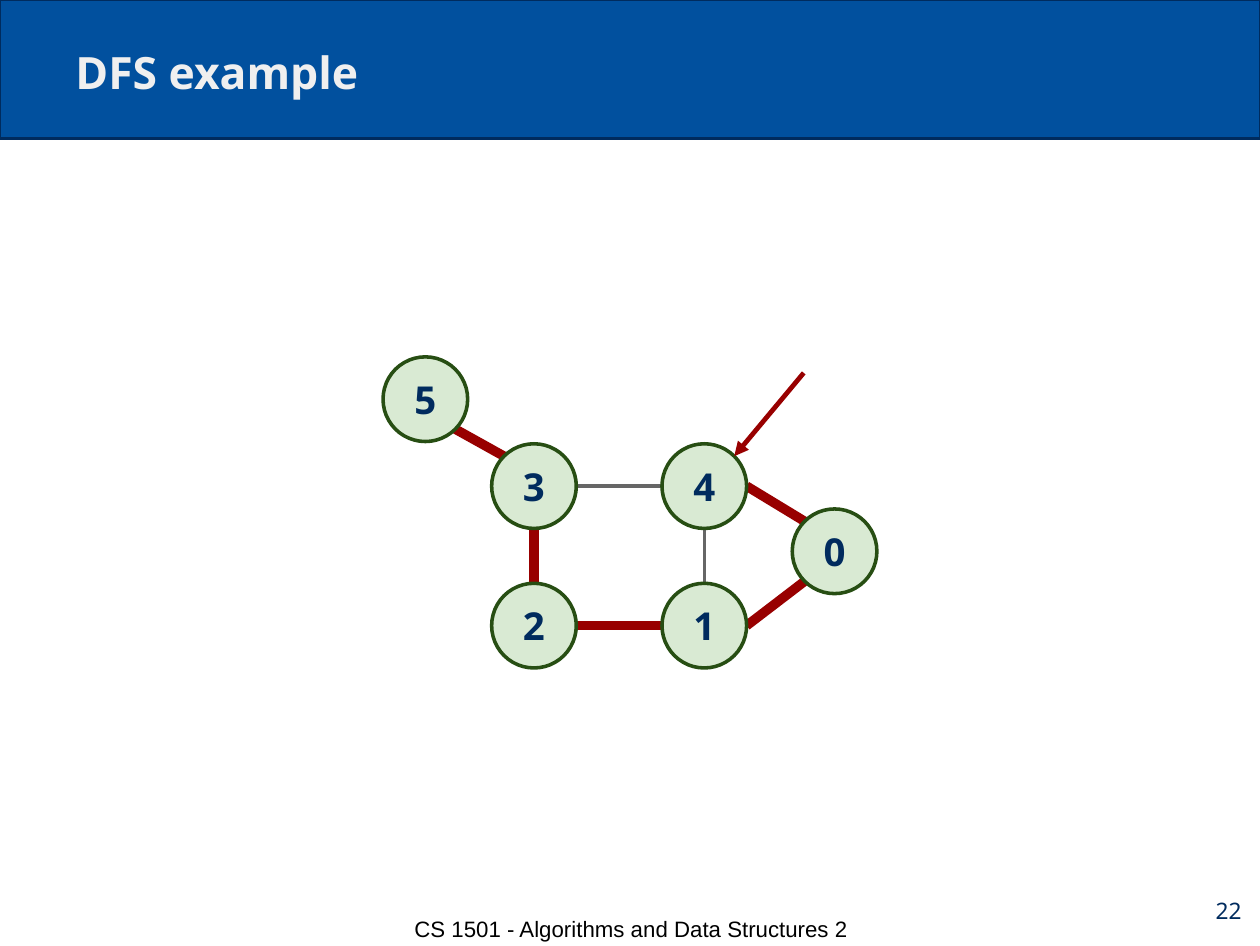
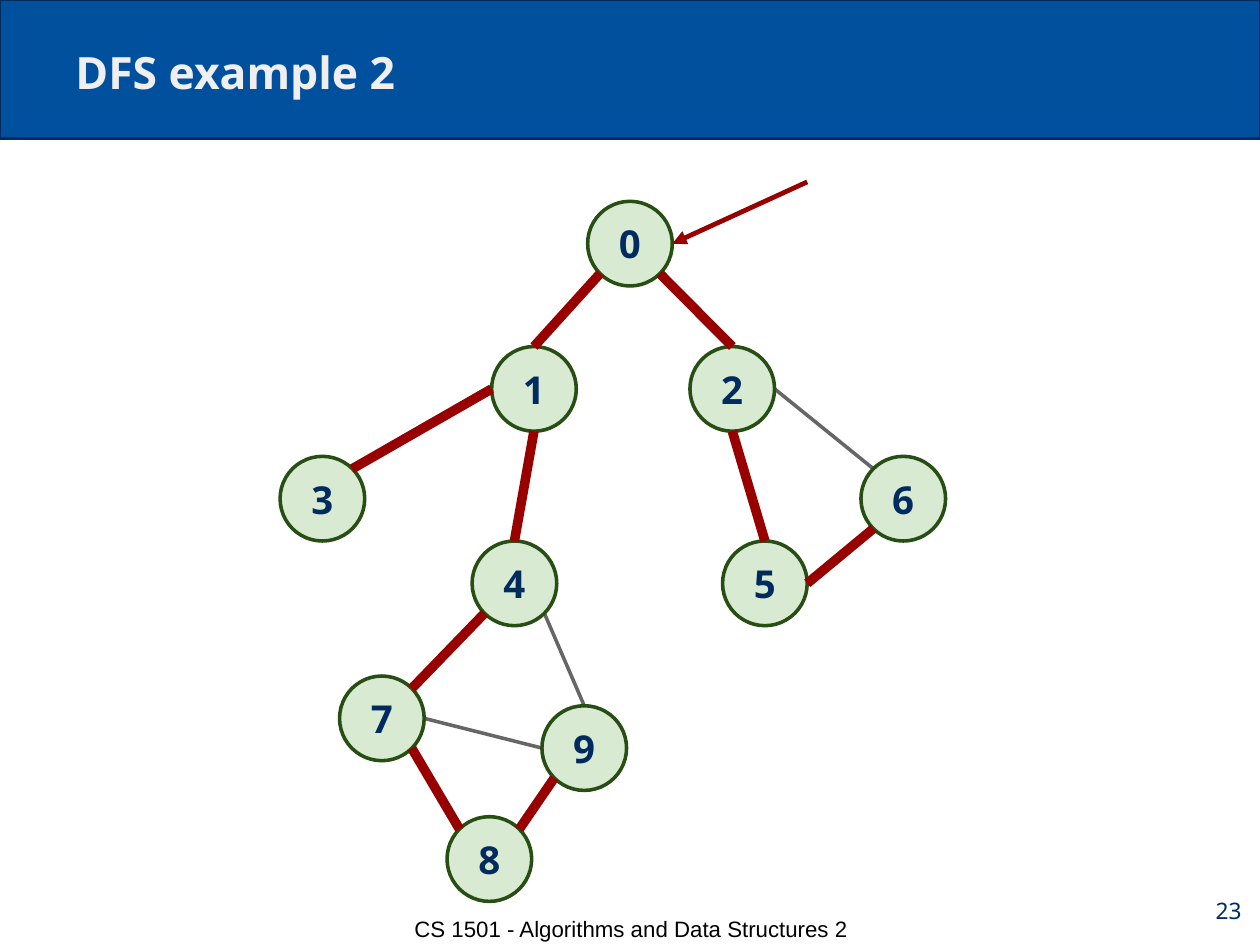
import math
from dataclasses import dataclass
from enum import Enum

from lxml import etree
from pptx import Presentation
from pptx import util as u
from pptx.dml.color import RGBColor
from pptx.enum import shapes, text
from pptx.oxml.ns import qn

WIDTH, HEIGHT = 11.02, 8.27
NODE_SIZE = 0.74
INSET = 0.11
FIRST_NUMBER = 22
FOOTER = "CS 1501 - Algorithms and Data Structures 2"
SANS = "Noto Sans"

BLUE, NAVY, PALE = "01509E", "002B5E", "EFEFEF"
MINT, GREEN = "D9EAD3", "274E13"
GREY, RED, BLACK = "666666", "980000", "000000"

Point = tuple[float, float]


class Side(Enum):
    """Compass points on a node's rim, as degrees clockwise from east."""
    E = 0
    SE = 45
    S = 90
    SW = 135
    W = 180
    NW = 225
    N = 270
    NE = 315


@dataclass(frozen=True)
class Edge:
    start: str
    start_side: Side
    end: str
    end_side: Side
    in_tree: bool = True


@dataclass(frozen=True)
class Graph:
    """Node centres and the pointer's tail are percentages of the slide's size."""
    title: str
    nodes: dict[str, Point]
    edges: list[Edge]
    pointer_from: Point
    pointer_node: str
    pointer_side: Side
    tree_in_front: bool


@dataclass(frozen=True)
class TextStyle:
    size: float
    color: str
    font: str = SANS
    bold: bool = False
    align: text.PP_ALIGN = text.PP_ALIGN.LEFT
    anchor: text.MSO_ANCHOR = text.MSO_ANCHOR.MIDDLE
    inset: float = INSET


TITLE_STYLE = TextStyle(28, PALE, bold=True, anchor=text.MSO_ANCHOR.BOTTOM)
NODE_STYLE = TextStyle(24.2, NAVY, bold=True, align=text.PP_ALIGN.CENTER)
NUMBER_STYLE = TextStyle(14.3, NAVY, align=text.PP_ALIGN.RIGHT)
FOOTER_STYLE = TextStyle(14, BLACK, "Arial", align=text.PP_ALIGN.CENTER,
                         anchor=text.MSO_ANCHOR.TOP, inset=0)

GRAPHS = [
    Graph(
        "DFS example",
        {"4": (55.9, 51.39), "0": (66.24, 58.28), "1": (55.9, 66.14),
         "2": (42.38, 66.14), "3": (42.38, 51.39), "5": (33.76, 42.2)},
        [Edge("4", Side.W, "3", Side.E, in_tree=False),
         Edge("4", Side.S, "1", Side.N, in_tree=False),
         Edge("4", Side.E, "0", Side.NW),
         Edge("0", Side.SW, "1", Side.E),
         Edge("1", Side.W, "2", Side.E),
         Edge("2", Side.N, "3", Side.S),
         Edge("3", Side.NW, "5", Side.SE)],
        (63.79, 39.42), "4", Side.NE, tree_in_front=False),
    Graph(
        "DFS example 2",
        {"0": (50, 25.76), "1": (42.38, 41.11), "3": (25.59, 52.72),
         "4": (40.83, 61.67), "7": (30.31, 75.94), "8": (38.84, 90.81),
         "9": (46.37, 79.08), "2": (58.12, 41.11), "5": (60.71, 61.67),
         "6": (71.69, 52.72)},
        [Edge("4", Side.SE, "9", Side.N, in_tree=False),
         Edge("2", Side.E, "6", Side.NW, in_tree=False),
         Edge("7", Side.E, "9", Side.W, in_tree=False),
         Edge("0", Side.SW, "1", Side.N),
         Edge("1", Side.W, "3", Side.NE),
         Edge("1", Side.S, "4", Side.N),
         Edge("4", Side.SW, "7", Side.NE),
         Edge("7", Side.SE, "8", Side.NW),
         Edge("8", Side.NE, "9", Side.SW),
         Edge("0", Side.SE, "2", Side.N),
         Edge("2", Side.S, "5", Side.N),
         Edge("5", Side.E, "6", Side.SW)],
        (64.07, 19.23), "0", Side.E, tree_in_front=True),
]


def rgb(color: str) -> RGBColor:
    return RGBColor.from_string(color)


def inches(*lengths: float) -> list[u.Length]:
    return [u.Inches(length) for length in lengths]


def on_slide(point: Point) -> Point:
    """Turn percentages of the slide's size into inches."""
    return point[0] * WIDTH / 100, point[1] * HEIGHT / 100


def rim_point(center: Point, side: Side) -> Point:
    x, y = on_slide(center)
    angle = math.radians(side.value)
    radius = NODE_SIZE / 2
    return x + radius * math.cos(angle), y + radius * math.sin(angle)


def write(box, words: str, style: TextStyle) -> None:
    frame = box.text_frame
    frame.text = words
    frame.word_wrap = True
    frame.auto_size = text.MSO_AUTO_SIZE.NONE
    frame.vertical_anchor = style.anchor
    frame.margin_left = frame.margin_right = u.Inches(style.inset)
    frame.margin_top = frame.margin_bottom = u.Inches(style.inset)
    para = frame.paragraphs[0]
    para.alignment = style.align
    font = para.runs[0].font
    font.name, font.size, font.bold = style.font, u.Pt(style.size), style.bold
    font.color.rgb = rgb(style.color)


def add_filled(page, kind: shapes.MSO_SHAPE, at: list[u.Length],
               fill: str, line: str, line_width: float):
    shape = page.shapes.add_shape(kind, *at)
    shape.shadow.inherit = False
    shape.fill.solid()
    shape.fill.fore_color.rgb = rgb(fill)
    shape.line.color.rgb = rgb(line)
    shape.line.width = u.Pt(line_width)
    return shape


def add_line(page, start: Point, end: Point, color: str, width: float,
             arrow: bool = False) -> None:
    line = page.shapes.add_connector(shapes.MSO_CONNECTOR.STRAIGHT,
                                     *inches(*start, *end))
    line.line.color.rgb = rgb(color)
    line.line.width = u.Pt(width)
    if arrow:
        etree.SubElement(line.line._get_or_add_ln(), qn("a:tailEnd"), type="triangle")
    etree.SubElement(line._element.spPr, qn("a:effectLst"))


def add_edges(page, graph: Graph, in_tree: bool) -> None:
    color, width = (RED, 6) if in_tree else (GREY, 2.25)
    for edge in graph.edges:
        if edge.in_tree == in_tree:
            add_line(page, rim_point(graph.nodes[edge.start], edge.start_side),
                     rim_point(graph.nodes[edge.end], edge.end_side), color, width)


def add_nodes(page, graph: Graph) -> None:
    for label, center in graph.nodes.items():
        x, y = on_slide(center)
        at = inches(x - NODE_SIZE / 2, y - NODE_SIZE / 2, NODE_SIZE, NODE_SIZE)
        node = add_filled(page, shapes.MSO_SHAPE.OVAL, at, MINT, GREEN, 2.25)
        write(node, label, NODE_STYLE)


def add_graph(page, graph: Graph) -> None:
    add_edges(page, graph, in_tree=False)
    layers = [lambda: add_edges(page, graph, in_tree=True),
              lambda: add_nodes(page, graph)]
    for draw in reversed(layers) if graph.tree_in_front else layers:
        draw()
    add_line(page, on_slide(graph.pointer_from),
             rim_point(graph.nodes[graph.pointer_node], graph.pointer_side),
             RED, 3, arrow=True)


def add_label(page, at: list[u.Length], words: str, style: TextStyle):
    box = page.shapes.add_textbox(*at)
    write(box, words, style)
    return box


def move_band_to_layout(page, layout) -> None:
    """Draw the title band once, behind everything on the shared layout."""
    band = add_filled(page, shapes.MSO_SHAPE.RECTANGLE,
                      inches(0, 0, WIDTH, 1.21), BLUE, NAVY, 1.5)
    band._element.nvSpPr.cNvPr.set("id", "99")
    layout.shapes._spTree.insert(2, band._element)


def add_page(deck, layout, graph: Graph, number: int):
    page = deck.slides.add_slide(layout)
    title = page.shapes.title
    title.left, title.top, title.width, title.height = inches(0.55, 0.24, 9.92, 0.73)
    write(title, graph.title, TITLE_STYLE)
    add_graph(page, graph)
    add_label(page, inches(10.31, 7.64, 0.66, 0.63), str(number), NUMBER_STYLE)
    footer = add_label(page, inches(2.83, 8.02, 5.38, 0.25), FOOTER, FOOTER_STYLE)
    footer.text_frame.paragraphs[0].line_spacing = 0.96
    return page


def main() -> None:
    deck = Presentation()
    deck.slide_width, deck.slide_height = inches(WIDTH, HEIGHT)
    layout = deck.slide_layouts.get_by_name("Title Only")
    pages = [add_page(deck, layout, graph, number)
             for number, graph in enumerate(GRAPHS, FIRST_NUMBER)]
    move_band_to_layout(pages[0], layout)
    deck.save("out.pptx")


if __name__ == "__main__":
    main()
